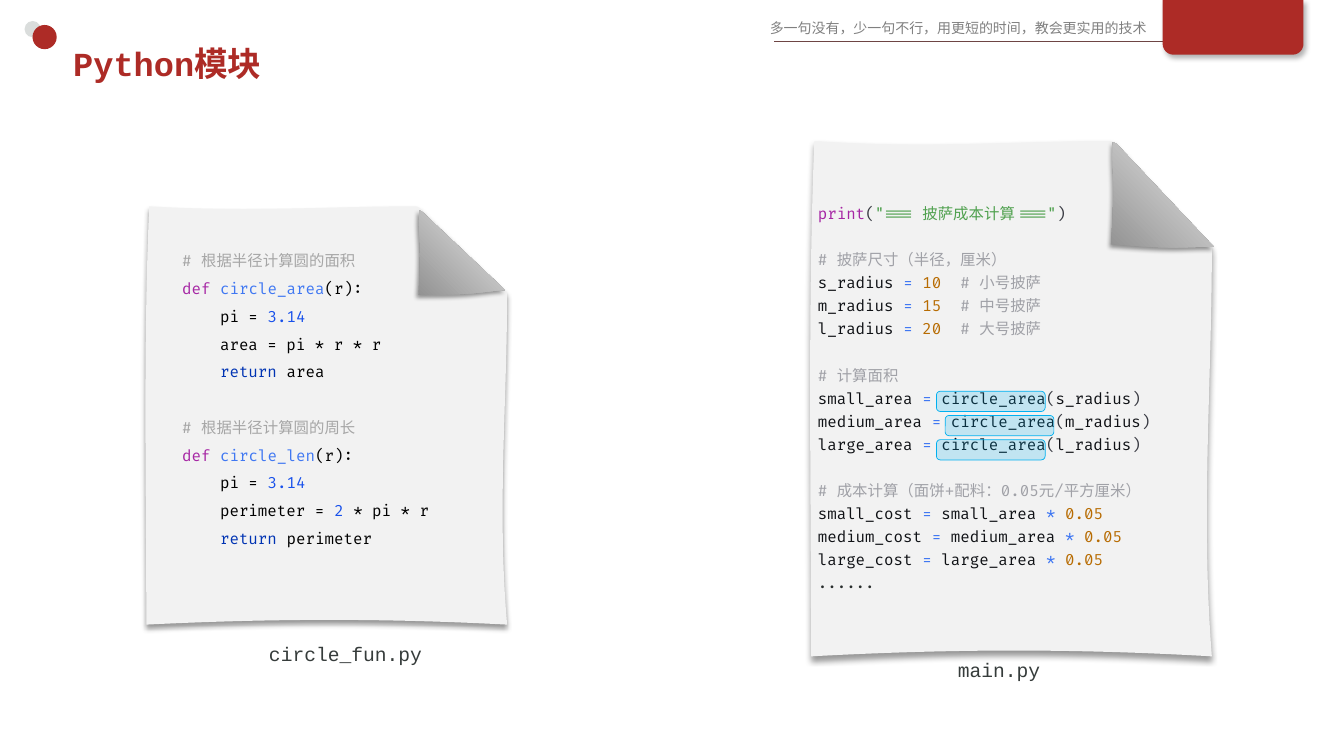
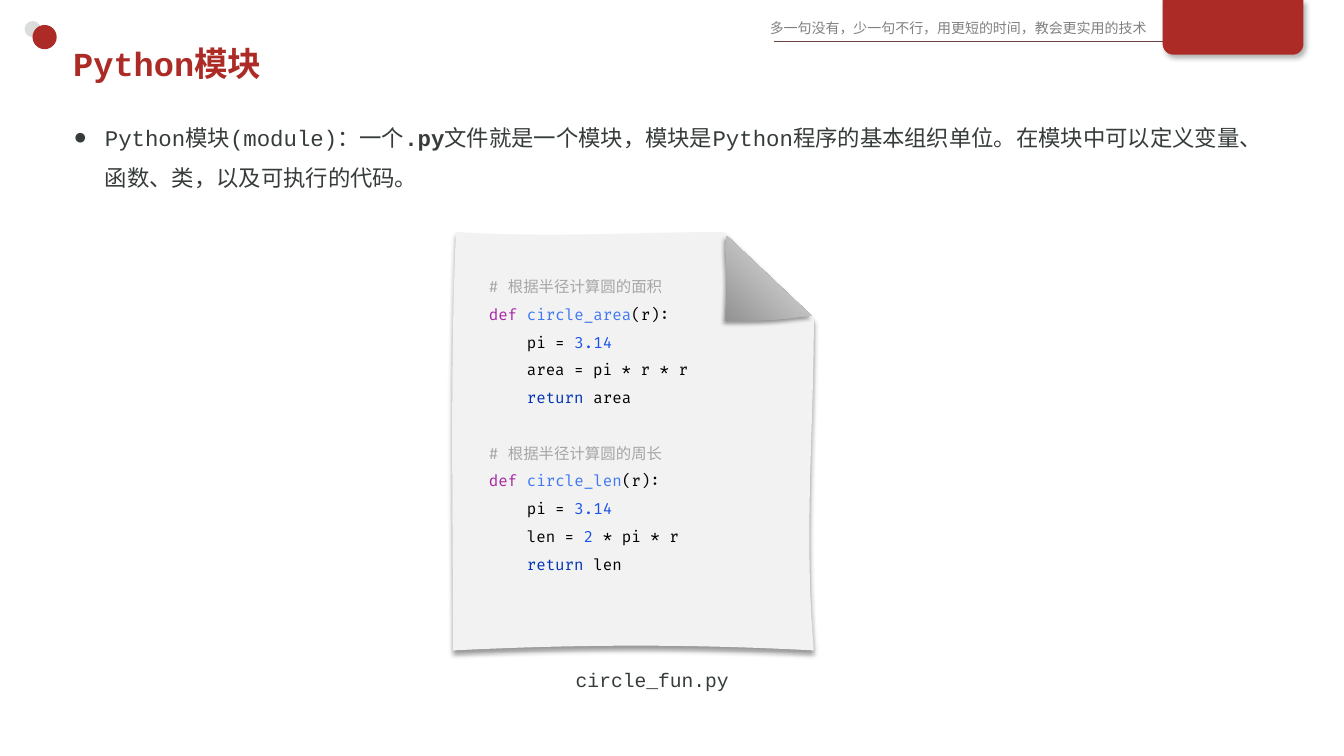
from dataclasses import dataclass

from lxml.etree import SubElement
from pptx import Presentation
from pptx.dml.color import RGBColor
from pptx.enum.shapes import MSO_CONNECTOR, MSO_SHAPE
from pptx.enum.text import MSO_ANCHOR, MSO_AUTO_SIZE, PP_ALIGN
from pptx.oxml.ns import qn
from pptx.util import Cm, Pt

# ---- content ----
TITLE = "Python模块"
MOTTO = "多一句没有，少一句不行，用更短的时间，教会更实用的技术"
DEFINITION = [
    ("Python模块(module)：一个", False),
    (".py", True),
    ("文件就是一个模块，模块是Python程序的基本组织单位。"
     "在模块中可以定义变量、函数、类，以及可执行的代码。", False),
]


def circle_fun(length_name):
    """Blocks of circle_fun.py: each line is a list of (text, role)."""
    pi_line = [("    pi = ", "plain"), ("3.14", "literal")]

    def function(comment, name, formula, result):
        return [
            [("# " + comment, "remark")],
            [("def ", "keyword"), (name, "function"), ("(r):", "plain")],
            pi_line,
            formula,
            [("    return ", "return"), (result, "plain")],
        ]

    return [
        function("根据半径计算圆的面积", "circle_area",
                 [("    area = pi * r * r", "plain")], "area"),
        function("根据半径计算圆的周长", "circle_len",
                 [(f"    {length_name} = ", "plain"), ("2 ", "literal"),
                  ("* pi * r", "plain")], length_name),
    ]


PIZZAS = [("small", "10", "小号披萨"), ("medium", "15", "中号披萨"),
          ("large", "20", "大号披萨")]
MAIN = [
    [[("print", "keyword"), ("(", "bracket"),
      ('"=== 披萨成本计算 ==="', "string"), (")", "bracket")]],
    [[("# 披萨尺寸（半径，厘米）", "comment")]] + [
        [(f"{size[0]}_radius ", "name"), ("= ", "function"),
         (radius + "  ", "number"), ("# " + label, "comment")]
        for size, radius, label in PIZZAS],
    [[("# 计算面积", "comment")]] + [
        [(f"{size}_area ", "name"), ("=", "function"), (" circle_area", "name"),
         ("(", "bracket"), (f"{size[0]}_radius", "name"), (")", "bracket")]
        for size, _, _ in PIZZAS],
    [[("# 成本计算（面饼+配料：0.05元/平方厘米）", "comment")]] + [
        [(f"{size}_cost ", "name"), ("=", "function"),
         (f" {size}_area ", "name"), ("* ", "function"), ("0.05", "number")]
        for size, _, _ in PIZZAS] + [[("......", "dots")]],
]


# ---- look ----
@dataclass(frozen=True)
class Theme:
    accent: str = "AD2B26"
    rule: str = "6E4544"
    dot: str = "DADDDC"
    motto: str = "808080"
    text: str = "363C3B"
    paper: str = "F2F2F2"
    fold_dark: str = "929292"
    fold_light: str = "EAEAEA"
    highlight: str = "00B0F0"
    sans: str = "Noto Sans CJK SC"
    mono: str = "Courier New"
    code: str = "Fira Code"
    title_size: int = 24
    body_size: int = 16
    caption_size: int = 14
    code_size: int = 11
    motto_size: int = 10


T = Theme()
CODE_COLORS = {
    "remark": "A6A6A6", "comment": "A0A1A7", "keyword": "A626A4",
    "function": "4078F2", "plain": "000000", "literal": "1750EB",
    "return": "0033B3", "bracket": "383A42", "string": "50A14F",
    "name": "0F1115", "number": "B76B01", "dots": "282D2C",
}

# Outlines in percent of the sheet: a start, then lines (1 point) or curves (3)
SHEET = [(1.1, 0), [(29, 1.45), (50.4, 0), (74.9, 0)], [(75.7, 0.3)],
         [(100, 20.7)], [(100, 47.2), (97.2, 72.3), (100, 100)],
         [(66.3, 98.5), (35.9, 98.5), (0.3, 100)],
         [(0.3, 66.7), (-0.6, 33.3), (1.1, 0)]]
SMALL_FOLD = [(75.8, 1), [(76.6, 1.4)], [(99.4, 20)],
              [(91.4, 20.5), (92.2, 21.2), (75.5, 21.2)],
              [(76.6, 6.5), (75.2, 7.5), (75.8, 1)]]
LARGE_FOLD = [(75.4, 0.2), [(76.4, 0.6)], [(100.5, 20.5)],
              [(92, 20.4), (93, 21.1), (74.9, 20)],
              [(76.2, 5.7), (74.9, 6.5), (75.4, 0.2)]]


@dataclass(frozen=True)
class Paper:
    """Sizes in cm; code and caption boxes are relative to the sheet."""
    size: tuple
    fold: list
    code: tuple
    caption: tuple
    line_spacing: object
    block_gap: object


SMALL = Paper((9.12, 10.54), SMALL_FOLD, (0.68, 0.78, 7.57, 7.95),
              (2.87, 10.85, 4.39, 0.86), 1.5, Pt(19.8))
LARGE = Paper((10.13, 12.98), LARGE_FOLD, (-0.05, 1.34, 10.13, 10.52),
              (3.48, 12.9, 2.59, 0.86), Pt(16.5), Pt(16.5))


# ---- drawing ----
def rgb(color):
    return RGBColor.from_string(color)


def box(left, top, width, height):
    return Cm(left), Cm(top), Cm(width), Cm(height)


def add_run(p, text, font, size, color, bold=False):
    r = p.add_run()
    r.text = text
    r.font.name, r.font.size, r.font.bold = font, Pt(size), bold
    r.font.color.rgb = rgb(color)
    SubElement(r._r.get_or_add_rPr(), qn("a:ea"), typeface=T.sans)


def add_text(slide, place, wrap=True):
    tf = slide.shapes.add_textbox(*box(*place)).text_frame
    tf.word_wrap = wrap
    return tf


def add_label(slide, place, text, font, size, color, wrap=True):
    tf = add_text(slide, place, wrap)
    add_run(tf.paragraphs[0], text, font, size, color)


def finish(sp, color=None):
    """Flat shape without outline or inherited shadow."""
    sp.shadow.inherit = False
    sp.line.fill.background()
    if color:
        sp.fill.solid()
        sp.fill.fore_color.rgb = rgb(color)
    return sp


def cast_shadow(sp, alpha, blur, distance, angle):
    effects = sp.element.spPr.find(qn("a:effectLst"))
    shadow = SubElement(effects, qn("a:outerShdw"), blurRad=str(Pt(blur)),
                        dist=str(Pt(distance)), dir=str(angle * 60000),
                        algn="t", rotWithShape="0")
    color = SubElement(shadow, qn("a:srgbClr"), val="000000")
    SubElement(color, qn("a:alpha"), val=str(alpha * 1000))


def add_outline(slide, outline, left, top, width, height):
    """Freeform whose three-point segments become Bézier curves."""
    start, *segments = outline

    def place(point):
        return Cm(left + point[0] * width / 100), Cm(top + point[1] * height / 100)

    builder = slide.shapes.build_freeform(*place(start))
    builder.add_line_segments([place(c) for s in segments for c in s], close=True)
    sp = builder.convert_to_shape()
    lines = iter(list(sp.element.iter(qn("a:lnTo"))))
    for segment in segments:
        parts = [next(lines) for _ in segment]
        if len(parts) == 3:
            curve = SubElement(parts[0].getparent(), qn("a:cubicBezTo"))
            parts[0].addprevious(curve)
            for part in parts:
                curve.append(part[0])
                part.getparent().remove(part)
    return sp


def add_paper(slide, paper, left, top, blocks, caption):
    frame = (left, top, *paper.size)
    sheet = finish(add_outline(slide, SHEET, *frame), T.paper)
    cast_shadow(sheet, 40, 4, 3, 90)

    fold = finish(add_outline(slide, paper.fold, *frame))
    fold.fill.gradient()
    fold.fill.gradient_angle = 45
    for stop, color in zip(fold.fill.gradient_stops, (T.fold_dark, T.fold_light)):
        stop.color.rgb = rgb(color)
    cast_shadow(fold, 40, 3, 2, 120)

    def on_sheet(place):
        return (left + place[0], top + place[1], *place[2:])

    tf = add_text(slide, on_sheet(paper.code))
    p = None
    for number, block in enumerate(blocks):
        for row, tokens in enumerate(block):
            p = tf.add_paragraph() if p is not None else tf.paragraphs[0]
            p.line_spacing = paper.line_spacing
            if number and row == 0:
                p.space_before = paper.block_gap
            for text, role in tokens:
                add_run(p, text, T.code, T.code_size, CODE_COLORS[role])
    add_label(slide, on_sheet(paper.caption), caption, T.mono, T.caption_size,
              T.text, wrap=False)


def add_highlight(slide, left, top):
    sp = slide.shapes.add_shape(MSO_SHAPE.ROUNDED_RECTANGLE, *box(left, top, 2.74, 0.51))
    finish(sp, T.highlight)
    SubElement(sp.element.find(".//" + qn("a:srgbClr")), qn("a:alpha"), val="20000")
    sp.adjustments[0] = 0.19
    sp.line.color.rgb = rgb(T.highlight)
    sp.line.width = Pt(0.5)


def decorate_master(prs, slide):
    """Draw the shared header on a slide, then move it to the master."""
    kept = len(slide.shapes)
    add_label(slide, (19.15, 0.36, 10.69, 0.69), MOTTO, T.sans, T.motto_size, T.motto)
    rule = slide.shapes.add_connector(MSO_CONNECTOR.STRAIGHT, Cm(19.51), Cm(1.04),
                                      Cm(29.54), Cm(1.04))
    rule.line.color.rgb = rgb(T.rule)
    rule.line.width = Pt(1)
    SubElement(rule.element.spPr, qn("a:effectLst"))
    band = slide.shapes.add_shape(MSO_SHAPE.ROUND_2_SAME_RECTANGLE,
                                  *box(29.3, 0, 3.55, 1.38))
    band.adjustments[0], band.adjustments[1] = 0, 0.2
    cast_shadow(finish(band, T.accent), 30, 4, 3, 60)
    for left, top, size, color in ((0.62, 0.53, 0.41, T.dot), (0.82, 0.63, 0.61, T.accent)):
        finish(slide.shapes.add_shape(MSO_SHAPE.OVAL, *box(left, top, size, size)), color)
    for number, sp in enumerate(list(slide.shapes)[kept:], start=100):
        sp.element.find(".//" + qn("p:cNvPr")).set("id", str(number))
        prs.slide_master.shapes.element.append(sp.element)


def place_placeholder(sp, place, anchor):
    sp.left, sp.top, sp.width, sp.height = box(*place)
    tf = sp.text_frame
    tf.auto_size, tf.vertical_anchor = MSO_AUTO_SIZE.NONE, anchor
    p = tf.paragraphs[0]
    p.alignment = PP_ALIGN.LEFT
    return p


def add_titled_slide(prs, layout, title_width):
    slide = prs.slides.add_slide(prs.slide_layouts[layout])
    p = place_placeholder(slide.shapes.title, (1.59, 0.92, title_width, 1.32),
                          MSO_ANCHOR.MIDDLE)
    add_run(p, TITLE, T.mono, T.title_size, T.accent, bold=True)
    return slide


def add_definition(slide):
    p = place_placeholder(slide.placeholders[1], (1.6, 2.65, 30.73, 2.29), MSO_ANCHOR.TOP)
    p.line_spacing = 1.5
    p.space_before = Pt(0)
    pPr = p._p.get_or_add_pPr()
    pPr.set("marL", str(Cm(0.79)))
    pPr.set("indent", str(-Cm(0.79)))
    SubElement(pPr, qn("a:buChar"), char="●")
    for text, bold in DEFINITION:
        add_run(p, text, T.mono, T.body_size, T.text, bold)


def main():
    prs = Presentation()
    prs.slide_width, prs.slide_height = Cm(33.87), Cm(19.05)

    slide = add_titled_slide(prs, 5, 5.56)
    decorate_master(prs, slide)
    add_paper(slide, SMALL, 3.66, 5.2, circle_fun("perimeter"), "circle_fun.py")
    add_paper(slide, LARGE, 20.41, 3.56, MAIN, "main.py")
    for row, left in enumerate((23.6, 23.82, 23.6)):
        add_highlight(slide, left, 9.86 + row * 0.61)

    slide = add_titled_slide(prs, 1, 29.85)
    add_definition(slide)
    add_paper(slide, SMALL, 11.39, 5.85, circle_fun("len"), "circle_fun.py")

    prs.save("out.pptx")


if __name__ == "__main__":
    main()
